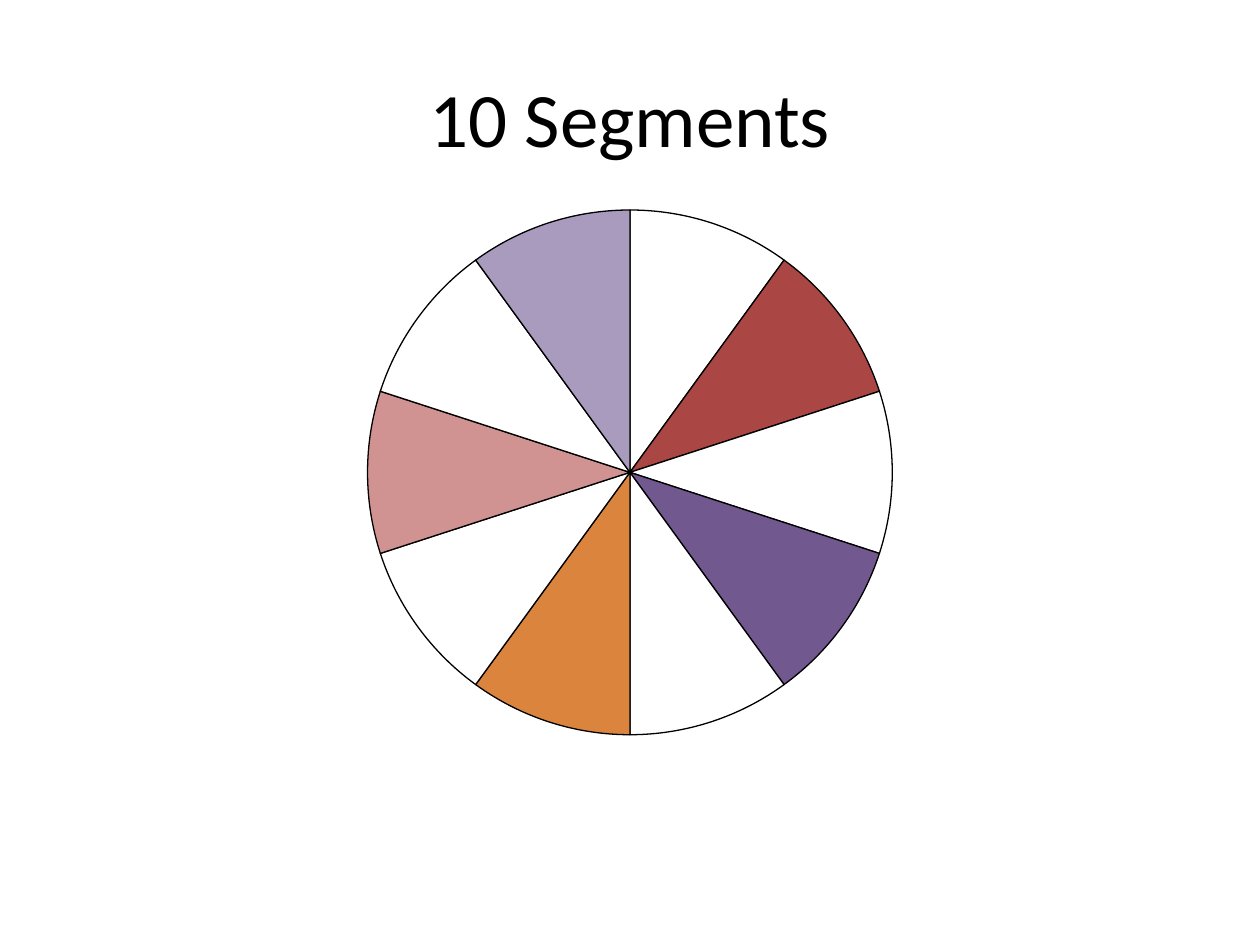
"""Build a slide with a pie of ten equal segments."""
from lxml import etree
from pptx import Presentation
from pptx.chart.data import CategoryChartData
from pptx.dml.color import RGBColor
from pptx.enum.chart import XL_CHART_TYPE
from pptx.enum.text import MSO_ANCHOR, PP_ALIGN
from pptx.oxml.ns import qn
from pptx.util import Cm, Pt

TITLE = "10 Segments"
FONT = "Calibri"
COLORS = {
    "black": "000000", "white": "FFFFFF", "red": "AA4643", "purple": "71588F",
    "orange": "DB843D", "pink": "D19392", "lilac": "A99BBD",
}
SEGMENTS = ["white", "red", "white", "purple", "white",
            "orange", "white", "pink", "white", "lilac"]
SEGMENT_VALUE = 10
CHART_WIDTH, CHART_HEIGHT, PIE_DIAMETER = 16.93, 11.29, 10.58


def color(name):
    return RGBColor.from_string(COLORS[name])


def style_font(font, size):
    font.name, font.size = FONT, Pt(size)
    font.color.rgb = color("black")


def center_pie(chart):
    """Place the pie at its fixed diameter in the middle of the chart."""
    plot_area = chart.plots[0]._element.getparent()
    for old in plot_area.findall(qn("c:layout")):
        plot_area.remove(old)
    layout = etree.Element(qn("c:layout"))
    plot_area.insert(0, layout)
    manual = etree.SubElement(layout, qn("c:manualLayout"))
    w, h = PIE_DIAMETER / CHART_WIDTH, PIE_DIAMETER / CHART_HEIGHT
    settings = {"layoutTarget": "inner", "xMode": "edge", "yMode": "edge",
                "x": (1 - w) / 2, "y": (1 - h) / 2, "w": w, "h": h}
    for tag, value in settings.items():
        text = value if isinstance(value, str) else f"{value:.4f}"
        etree.SubElement(manual, qn(f"c:{tag}")).set("val", text)


prs = Presentation()
prs.slide_width, prs.slide_height = Cm(25.4), Cm(19.05)
slide = prs.slides.add_slide(prs.slide_layouts[5])

title = slide.shapes.title
title.left, title.top, title.width, title.height = Cm(1.27), Cm(0.76), Cm(22.86), Cm(3.18)
title.text_frame.text = TITLE
title.text_frame.vertical_anchor = MSO_ANCHOR.MIDDLE
paragraph = title.text_frame.paragraphs[0]
paragraph.alignment = PP_ALIGN.CENTER
style_font(paragraph.runs[0].font, 44)

data = CategoryChartData()
data.categories = [str(number) for number in range(1, len(SEGMENTS) + 1)]
data.add_series("Series 1", [SEGMENT_VALUE] * len(SEGMENTS))
chart = slide.shapes.add_chart(
    XL_CHART_TYPE.PIE, Cm((25.4 - CHART_WIDTH) / 2), Cm((19.05 - CHART_HEIGHT) / 2),
    Cm(CHART_WIDTH), Cm(CHART_HEIGHT), data).chart
chart.has_legend = False
chart.has_title = False
style_font(chart.font, 18)
center_pie(chart)

pie = chart.plots[0]
pie.vary_by_categories = True
series = pie.series[0]
for index, name in enumerate(SEGMENTS):
    segment = series.points[index].format
    segment.fill.solid()
    segment.fill.fore_color.rgb = color(name)
    segment.line.color.rgb = color("black")
    segment.line.width = Pt(0.75)

prs.save("out.pptx")
